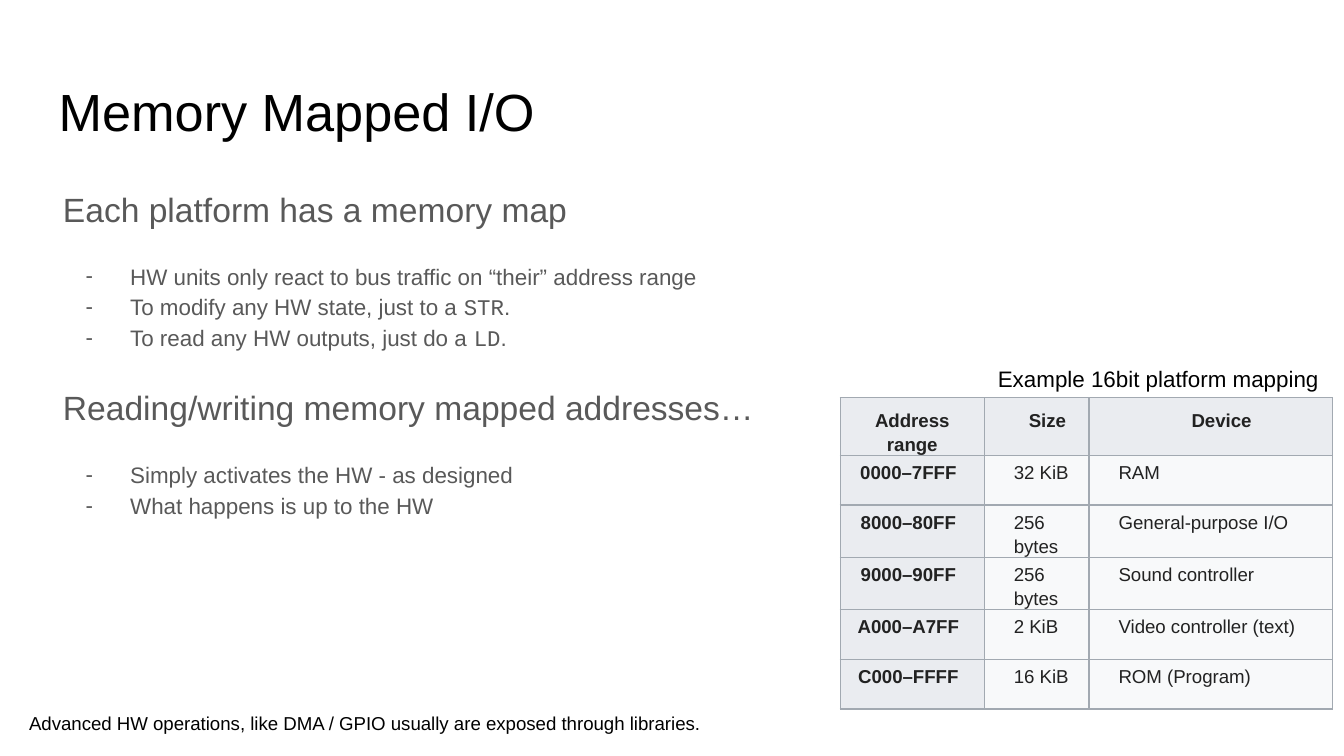
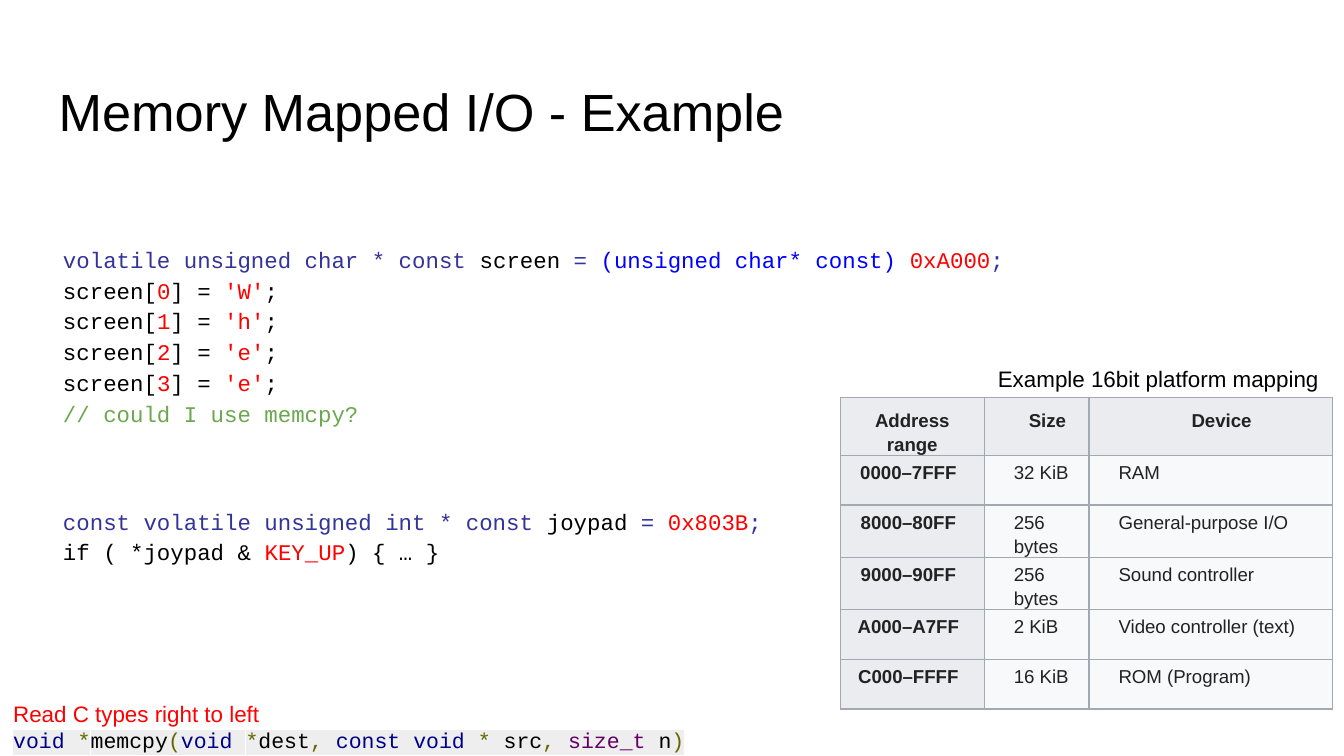
from lxml.etree import SubElement
from pptx import Presentation
from pptx.dml.color import RGBColor as Rgb
from pptx.enum.text import MSO_ANCHOR as Anchor, MSO_AUTO_SIZE as AutoSize, PP_ALIGN as Align
from pptx.oxml import parse_xml
from pptx.oxml.ns import nsdecls, qn
from pptx.util import Cm, Pt

COLOURS = {
    "black": "000000", "body": "595959", "cell_text": "222222",
    "head_fill": "EAECF0", "cell_fill": "F8F9FA", "border": "A2A9B1",
    "white": "FFFFFF", "type": "333399", "cast": "0000FF", "literal": "FF0000",
    "comment": "6AA84F", "keyword": "000088", "symbol": "666600",
    "typename": "660066", "signature_fill": "EEEEEE",
}
SANS, MONO = "Arial", "Courier New"

TITLE_BOX = (0.86, 1.24, 23.67, 1.6)
BODY_BOX = (0.94, 3.2, 23.67, 9.5)
CAPTION_BOX = (16.54, 6.65, 8.64, 0.56)
LIBRARY_NOTE_BOX = (0.3, 13.21, 14.78, 0.84)
TYPES_NOTE_BOX = (0, 12.98, 15.54, 1.09)
MAP_CORNER = (15.88, 7.52)
MAP_WIDTHS = (2.72, 1.98, 4.6)
MAP_ROW = 0.94

FRAME = {
    "word_wrap": True, "auto_size": AutoSize.NONE, "vertical_anchor": Anchor.TOP,
    "margin_left": Cm(0.25), "margin_right": Cm(0.25),
    "margin_top": Cm(0.25), "margin_bottom": Cm(0.25),
}
PLAIN = {"alignment": Align.LEFT, "line_spacing": 1.0, "space_before": Pt(0), "space_after": Pt(0)}
LOOSE = PLAIN | {"line_spacing": 1.15}
CELL = LOOSE | {"space_after": Pt(5)}

TITLE = {"size": 28, "name": SANS, "colour": "black"}
HEADING = {"size": 18, "name": SANS, "colour": "body"}
ITEM = HEADING | {"size": 12}
LABEL = TITLE | {"size": 12}
NOTE = TITLE | {"size": 10}
CODE = {"size": 12, "name": MONO, "colour": "black", "highlight": "white"}
SIGNATURE = CODE | {"size": 11.5, "highlight": "signature_fill"}
HEAD_CELL = {"size": 10, "name": SANS, "colour": "cell_text", "bold": True}
DATA_CELL = HEAD_CELL | {"bold": False, "highlight": "cell_fill"}

MEMORY_MAP = [
    ("Address range", "Size", "Device"),
    ("0000–7FFF", "32 KiB", "RAM"),
    ("8000–80FF", "256 bytes", "General-purpose I/O"),
    ("9000–90FF", "256 bytes", "Sound controller"),
    ("A000–A7FF", "2 KiB", "Video controller (text)"),
    ("C000–FFFF", "16 KiB", "ROM (Program)"),
]
TOPICS = [
    ("Each platform has a memory map", [
        [("HW units only react to bus traffic on “their” address range", SANS)],
        [("To modify any HW state, just to a ", SANS), ("STR", MONO), (".", SANS)],
        [("To read any HW outputs, just do a ", SANS), ("LD", MONO), (".", SANS)],
    ]),
    ("Reading/writing memory mapped addresses…", [
        [("Simply activates the HW - as designed", SANS)],
        [("What happens is up to the HW", SANS)],
    ]),
]
SCREEN_CODE = [
    [("volatile unsigned char * const ", "type"), ("screen ", "black"), ("= ", "type"),
     ("(unsigned char* const)", "cast"), (" ", "type"), ("0xA000", "literal"), (";", "type")],
    *([("screen[", "black"), (str(index), "literal"), ("] = ", "black"),
       (f"'{letter}'", "literal"), (";", "black")] for index, letter in enumerate("Whee")),
    [("// could I use memcpy?", "comment")],
]
JOYPAD_CODE = [
    [("const volatile unsigned int * const ", "type"), ("joypad ", "black"), ("= ", "type"),
     ("0x803B", "literal"), (";", "type")],
    [("if ( *joypad & ", "black"), ("KEY_UP", "literal"), (") { … }", "black")],
]
MEMCPY = [
    ("void", "keyword"), (" ", "black"), ("*", "symbol"), ("memcpy", "black"), ("(", "symbol"),
    ("void", "keyword"), (" ", "black"), ("*", "symbol"), ("dest", "black"), (",", "symbol"),
    (" ", "black"), ("const", "keyword"), (" ", "black"), ("void", "keyword"), (" ", "black"),
    ("*", "symbol"), (" src", "black"), (",", "symbol"), (" ", "black"),
    ("size_t", "typename"), (" n", "black"), (")", "symbol"),
]


def apply(target, values):
    for name, value in values.items():
        setattr(target, name, value)


def indent(paragraph, left, first=0):
    properties = paragraph._p.get_or_add_pPr()
    properties.set("marL", str(Cm(left)))
    properties.set("indent", str(Cm(first)))
    return properties


def add_dash(paragraph):
    properties = indent(paragraph, 1.27, -0.84)
    SubElement(SubElement(properties, qn("a:buClr")), qn("a:srgbClr"), val=COLOURS["body"])
    SubElement(properties, qn("a:buChar"), char="-")


def remove_bullet(paragraph):
    SubElement(indent(paragraph, 0), qn("a:buNone"))


def add_run(paragraph, text, style):
    run = paragraph.add_run()
    run.text = text
    apply(run.font, {"size": Pt(style["size"]), "name": style["name"],
                     "bold": style.get("bold", False)})
    run.font.color.rgb = Rgb.from_string(COLOURS[style["colour"]])
    if "highlight" in style:
        colour = COLOURS[style["highlight"]]
        run._r.get_or_add_rPr().find(qn("a:solidFill")).addnext(parse_xml(
            f'<a:highlight {nsdecls("a")}><a:srgbClr val="{colour}"/></a:highlight>'))


def add_code(paragraph, lines, style):
    for number, line in enumerate(lines):
        if number:
            paragraph.add_line_break()
        for text, colour in line:
            add_run(paragraph, text, style | {"colour": colour})


def place(shape, box):
    apply(shape, dict(zip(("left", "top", "width", "height"), map(Cm, box))))
    apply(shape.text_frame, FRAME)
    paragraph = shape.text_frame.paragraphs[0]
    apply(paragraph, PLAIN)
    return paragraph


def add_label(slide, box, text, style, alignment=Align.LEFT):
    paragraph = place(slide.shapes.add_textbox(0, 0, 0, 0), box)
    paragraph.alignment = alignment
    add_run(paragraph, text, style)
    return paragraph


def add_borders(cell):
    properties = cell._tc.get_or_add_tcPr()
    for position, side in enumerate("LRTB"):
        properties.insert(position, parse_xml(
            f'<a:ln{side} {nsdecls("a")} w="{Pt(0.75)}"><a:solidFill>'
            f'<a:srgbClr val="{COLOURS["border"]}"/></a:solidFill></a:ln{side}>'))


def fill_cell(cell, text, row, column):
    heading = row == 0 or column == 0
    apply(cell, {"margin_left": 0, "margin_right": Cm(0.15), "margin_bottom": 0,
                 "margin_top": Cm(0.08 if row else 0.18), "vertical_anchor": Anchor.TOP})
    cell.fill.solid()
    cell.fill.fore_color.rgb = Rgb.from_string(COLOURS["head_fill" if heading else "cell_fill"])
    add_borders(cell)
    paragraph = cell.text_frame.paragraphs[0]
    apply(paragraph, CELL | {"alignment": Align.CENTER if heading else Align.LEFT})
    indent(paragraph, 0.56 if column else 0 if row else 0.15)
    add_run(paragraph, text, HEAD_CELL if heading else DATA_CELL)


def add_memory_map(slide):
    rows = len(MEMORY_MAP)
    table = slide.shapes.add_table(rows, len(MAP_WIDTHS), *map(Cm, MAP_CORNER),
                                   Cm(sum(MAP_WIDTHS)), Cm(MAP_ROW * rows)).table
    apply(table, {"first_row": False, "horz_banding": False})
    for column, width in zip(table.columns, MAP_WIDTHS):
        column.width = Cm(width)
    for row, entries in enumerate(MEMORY_MAP):
        table.rows[row].height = Cm(MAP_ROW)
        for column, text in enumerate(entries):
            fill_cell(table.cell(row, column), text, row, column)
    add_label(slide, CAPTION_BOX, "Example 16bit platform mapping", LABEL, Align.RIGHT)


def add_slide(deck, title):
    slide = deck.slides.add_slide(deck.slide_layouts[1])
    add_run(place(slide.shapes.title, TITLE_BOX), title, TITLE)
    body = slide.placeholders[1]
    place(body, BODY_BOX)
    add_memory_map(slide)
    return slide, body.text_frame


def next_paragraph(frame, gap):
    first = frame.paragraphs[0]
    fresh = not first.runs
    paragraph = first if fresh else frame.add_paragraph()
    apply(paragraph, LOOSE | {"space_before": Pt(0 if fresh else gap)})
    return paragraph


def write_topics(frame):
    for heading, items in TOPICS:
        paragraph = next_paragraph(frame, 16)
        remove_bullet(paragraph)
        add_run(paragraph, heading, HEADING)
        for number, item in enumerate(items):
            paragraph = next_paragraph(frame, 0 if number else 16)
            add_dash(paragraph)
            for text, font in item:
                add_run(paragraph, text, ITEM | {"name": font})


def write_example(frame):
    frame.margin_top = Cm(1.37)
    for lines in (SCREEN_CODE, JOYPAD_CODE):
        paragraph = next_paragraph(frame, 41)
        remove_bullet(paragraph)
        add_code(paragraph, lines, CODE)


def main():
    deck = Presentation()
    apply(deck, {"slide_width": Cm(25.4), "slide_height": Cm(14.29)})

    overview, topics = add_slide(deck, "Memory Mapped I/O")
    write_topics(topics)
    add_label(overview, LIBRARY_NOTE_BOX,
              "Advanced HW operations, like DMA / GPIO usually are exposed through libraries.", NOTE)

    example, code = add_slide(deck, "Memory Mapped I/O - Example")
    write_example(code)
    types_note = add_label(example, TYPES_NOTE_BOX, "Read C types right to left",
                           LABEL | {"colour": "literal"})
    types_note.add_line_break()
    add_code(types_note, [MEMCPY], SIGNATURE)

    deck.save("out.pptx")


if __name__ == "__main__":
    main()
